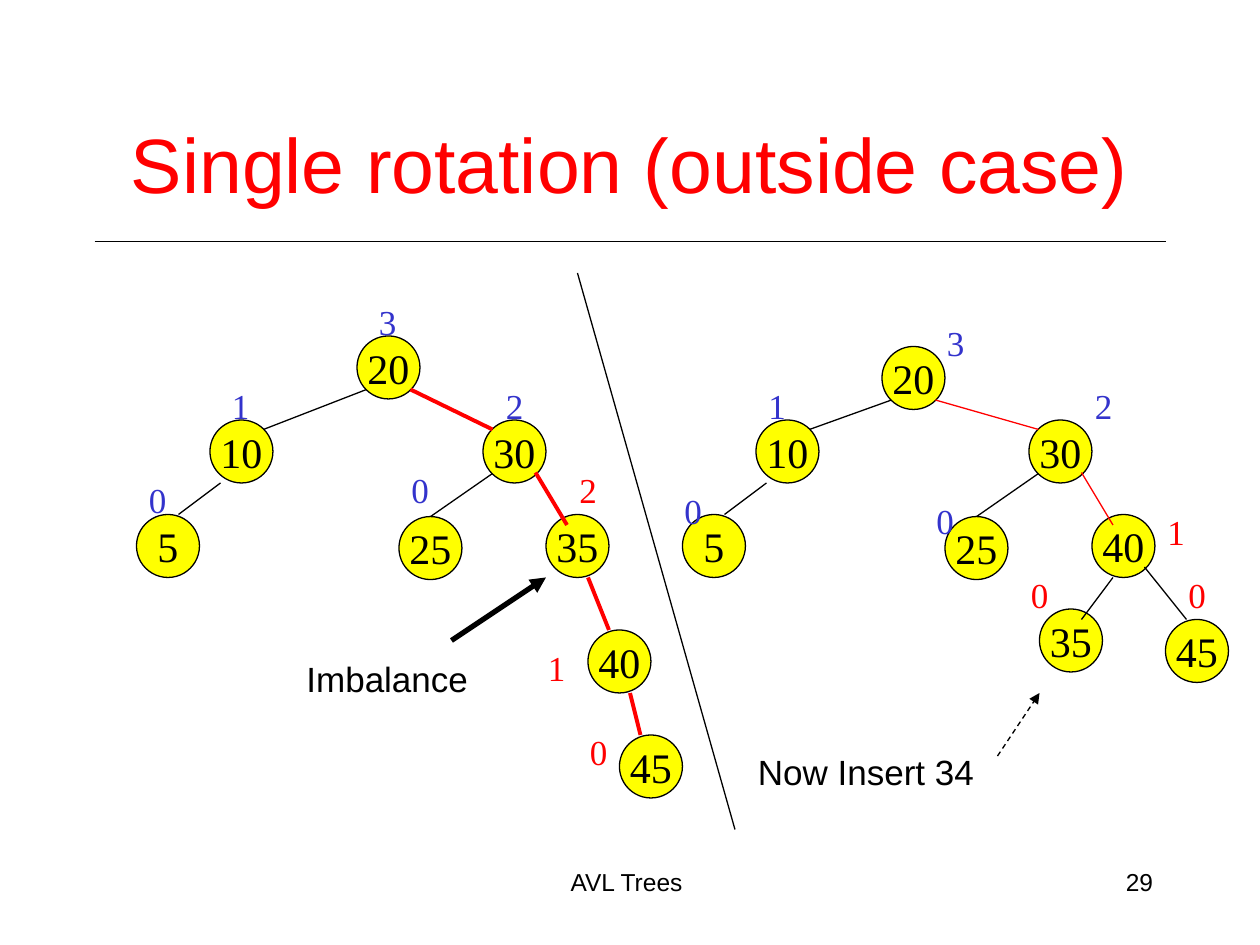
from pptx import Presentation
from pptx.dml.color import RGBColor
from pptx.enum.dml import MSO_LINE
from pptx.enum.shapes import MSO_CONNECTOR, MSO_SHAPE
from pptx.enum.text import MSO_ANCHOR, PP_ALIGN
from pptx.oxml.ns import qn
from pptx.util import Inches, Pt
from lxml.etree import SubElement


class Theme:
    black = RGBColor(0x00, 0x00, 0x00)
    red = RGBColor(0xFF, 0x00, 0x00)
    blue = RGBColor(0x33, 0x33, 0xCC)
    yellow = RGBColor(0xFF, 0xFF, 0x00)
    sans, serif = "Arial", "Times New Roman"
    title_size, node_size, label_size, footer_size = 44, 24, 20, 14
    thin, path_width, arrow_width = 0.75, 2.25, 3


presentation = Presentation()
presentation.slide_width, presentation.slide_height = Inches(10), Inches(7.5)
slide = presentation.slides.add_slide(presentation.slide_layouts[6])

# Grid of 120 columns by 90 rows
cell = presentation.slide_width / 120
node_cells = 6
label_columns, label_rows = 4.1, 5.3


def write_text(text, column, row, columns, rows, shape=None, size=Theme.label_size,
               font=Theme.sans, color=Theme.black, align=PP_ALIGN.LEFT,
               anchor=MSO_ANCHOR.TOP, wrap=True):
    """Write text in the given shape, or in a new text box."""
    if shape is None:
        shape = slide.shapes.add_textbox(
            *(round(value * cell) for value in (column, row, columns, rows)))
    frame = shape.text_frame
    frame.word_wrap = wrap
    frame.vertical_anchor = anchor
    paragraph = frame.paragraphs[0]
    paragraph.text = text
    paragraph.alignment = align
    paragraph.font.size = Pt(size)
    paragraph.font.name = font
    paragraph.font.color.rgb = color


def draw_line(start, end, color=Theme.black, width=Theme.thin, arrow=False, dash=None):
    """Draw a straight line between two (column, row) points."""
    connector = slide.shapes.add_connector(
        MSO_CONNECTOR.STRAIGHT, *(round(value * cell) for value in (*start, *end)))
    connector.line.color.rgb = color
    connector.line.width = Pt(width)
    if dash:
        connector.line.dash_style = dash
    if arrow:
        SubElement(connector.line._get_or_add_ln(), qn("a:tailEnd"), type="triangle")
    SubElement(connector._element.spPr, qn("a:effectLst"))
    return connector


# Title, rule and footer
write_text("Single rotation (outside case)", 9, 8, 102, 15, size=Theme.title_size,
           color=Theme.red, align=PP_ALIGN.CENTER, anchor=MSO_ANCHOR.MIDDLE)
draw_line((9, 23), (111, 23))
write_text("AVL Trees ", 41, 82, 38, 6, size=Theme.footer_size, align=PP_ALIGN.CENTER)
write_text("29", 86, 82, 25, 6, size=Theme.footer_size, align=PP_ALIGN.RIGHT)

# Trees: nodes, then edges (start, end, on the red path, child joined at its top),
# then height labels (height, column, row, color)
trees = [
    dict(
        path_width=Theme.path_width,
        nodes={"20": (34, 32), "10": (20, 40), "30": (46, 40), "25": (38, 49.2),
               "35": (52, 49), "5": (13, 49), "40": (56, 60), "45": (59, 70)},
        edges=[((34.9, 37.1), (25.1, 40.9), False, None),
               ((39.1, 37.1), (46.9, 40.9), True, None),
               ((46.9, 45.1), (41, 49.2), False, "25"),
               ((51, 45), (54, 50), True, None),
               ((21, 46), (17, 49), False, None),
               ((56, 55), (58, 60), True, None),
               ((60, 66), (61, 70), True, None)],
        heights=[("3", 34.9, 28, Theme.blue), ("1", 20.9, 36, Theme.blue),
                 ("2", 47, 36, Theme.blue), ("0", 38, 44, Theme.blue),
                 ("0", 13, 45, Theme.blue), ("2", 54, 44, Theme.red),
                 ("1", 51, 61, Theme.red), ("0", 55, 69, Theme.red)],
    ),
    dict(
        path_width=Theme.thin,
        nodes={"20": (84, 33), "10": (72, 40), "30": (98, 40), "25": (90, 49.2),
               "40": (104, 49), "5": (65, 49), "35": (99, 58), "45": (111, 59)},
        edges=[((84.9, 38.1), (77.1, 40.9), False, None),
               ((89.1, 38.1), (98.9, 40.9), True, None),
               ((98.9, 45.1), (93, 49.2), False, "25"),
               ((103, 45), (106, 50), True, None),
               ((73, 46), (69, 49), False, None),
               ((109, 54), (113, 59), False, None),
               ((106, 55), (103, 59), False, None)],
        heights=[("3", 89, 30, Theme.blue), ("1", 72, 36, Theme.blue),
                 ("2", 103.1, 36, Theme.blue), ("0", 64, 46, Theme.blue),
                 ("0", 88, 47, Theme.blue), ("1", 110, 48, Theme.red),
                 ("0", 97, 54, Theme.red), ("0", 112, 54, Theme.red)],
    ),
]

for tree in trees:
    circles = {}
    for key, (column, row) in tree["nodes"].items():
        circle = slide.shapes.add_shape(
            MSO_SHAPE.OVAL,
            *(round(value * cell) for value in (column, row, node_cells, node_cells)))
        circle.shadow.inherit = False
        circle.fill.solid()
        circle.fill.fore_color.rgb = Theme.yellow
        circle.line.color.rgb = Theme.black
        circle.line.width = Pt(Theme.thin)
        write_text(key, column, row, node_cells, node_cells, shape=circle,
                   size=Theme.node_size, font=Theme.serif, align=PP_ALIGN.CENTER,
                   anchor=MSO_ANCHOR.MIDDLE, wrap=False)
        circles[key] = circle

    for start, end, on_path, child in tree["edges"]:
        edge = draw_line(start, end, color=Theme.red if on_path else Theme.black,
                         width=tree["path_width"] if on_path else Theme.thin)
        if child:
            edge.end_connect(circles[child], 0)

    for height, column, row, color in tree["heights"]:
        write_text(height, column, row, label_columns, label_rows,
                   font=Theme.serif, color=color, wrap=False)

# Divider and callouts
draw_line((55, 26), (70, 79))
write_text("Imbalance", 28, 62, 18, label_rows)
draw_line((43, 61), (52, 55), width=Theme.arrow_width, arrow=True)
write_text("Now Insert 34", 71, 70.9, 25, label_rows)
draw_line((95, 72), (99, 66), arrow=True, dash=MSO_LINE.DASH)

presentation.save("out.pptx")
